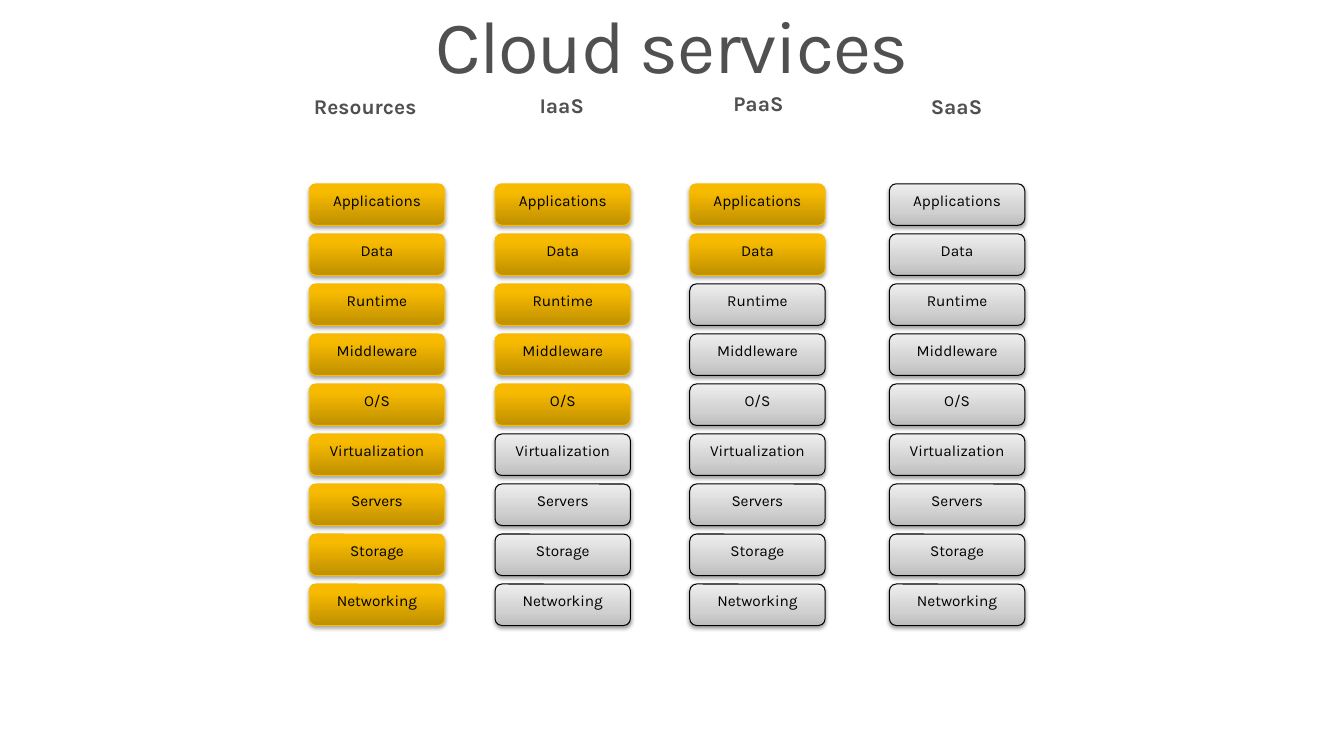
"""Build the Cloud services slide comparing who manages each layer of the stack."""
from dataclasses import dataclass

from lxml.etree import SubElement
from pptx import Presentation
from pptx.dml.color import RGBColor
from pptx.enum.shapes import MSO_SHAPE
from pptx.enum.text import MSO_ANCHOR, PP_ALIGN
from pptx.oxml import parse_xml
from pptx.oxml.ns import nsdecls, qn
from pptx.util import Inches, Pt

TITLE = "Cloud services"
LAYERS = ["Applications", "Data", "Runtime", "Middleware", "O/S",
          "Virtualization", "Servers", "Storage", "Networking"]


@dataclass(frozen=True)
class Column:
    heading: str
    left: float
    top: float
    width: float
    card_left: float
    gold_layers: int


COLUMNS = [
    Column("Resources", 2.84, 0.81, 1.71, 3.13, 9),
    Column("IaaS", 4.6, 0.78, 2.17, 5.01, 5),
    Column("PaaS", 6.84, 0.78, 1.67, 6.98, 2),
    Column("SaaS", 8.83, 0.81, 1.7, 9, 0),
]
COLUMN_HEIGHT = 5.52
CARD_WIDTH, CARD_HEIGHT = 1.37, 0.42
FIRST_CARD_TOP, LAST_CARD_TOP = 1.86, 5.91


@dataclass(frozen=True)
class CardStyle:
    stops: tuple
    line: str
    shadow_opacity: int
    shadow_distance: float


@dataclass(frozen=True)
class Theme:
    font: str = "Karla"
    heading_color: str = "505050"
    card_color: str = "000000"
    title_size: float = 54
    heading_size: float = 15.3
    card_size: float = 11.2
    line_width: float = 0.75
    shadow_blur: float = 3.1
    gold: CardStyle = CardStyle(
        ((0, "BE8F00"), (80, "F7BA00"), (100, "F8BB00")), "F9BC00", 35, 1.8)
    gray: CardStyle = CardStyle(
        ((0, "BDBDBD"), (35, "D1D1D1"), (100, "EEEEEE")), "000000", 38, 1.6)


THEME = Theme()


def write_text(shape, text, size, color, bold=False, side=0, edge=0.05):
    frame = shape.text_frame
    frame.text = text
    frame.word_wrap = True
    frame.vertical_anchor = MSO_ANCHOR.TOP
    frame.margin_left = frame.margin_right = Inches(side)
    frame.margin_top = frame.margin_bottom = Inches(edge)
    paragraph = frame.paragraphs[0]
    paragraph.alignment = PP_ALIGN.CENTER
    font = paragraph.runs[0].font
    font.name = THEME.font
    font.size = Pt(size)
    font.bold = bold
    font.color.rgb = RGBColor.from_string(color)
    return paragraph


def add_rounded(shapes, left, top, width, height):
    shape = shapes.add_shape(MSO_SHAPE.ROUNDED_RECTANGLE, Inches(left),
                             Inches(top), Inches(width), Inches(height))
    shape.shadow.inherit = False
    return shape


def style_card(card, style):
    card.line.color.rgb = RGBColor.from_string(style.line)
    card.line.width = Pt(THEME.line_width)
    stops = "".join(
        f'<a:gs pos="{position * 1000}"><a:srgbClr val="{color}"/></a:gs>'
        for position, color in style.stops)
    gradient = parse_xml(
        f'<a:gradFill {nsdecls("a")} rotWithShape="1"><a:gsLst>{stops}</a:gsLst>'
        '<a:lin ang="16200000" scaled="0"/></a:gradFill>')
    properties = card._element.spPr
    properties.find(qn("a:prstGeom")).addnext(gradient)
    shadow = SubElement(
        properties.find(qn("a:effectLst")), qn("a:outerShdw"),
        blurRad=str(Pt(THEME.shadow_blur)), dist=str(Pt(style.shadow_distance)),
        dir="5400000", rotWithShape="0")
    color = SubElement(shadow, qn("a:srgbClr"), val="000000")
    SubElement(color, qn("a:alpha"), val=str(style.shadow_opacity * 1000))


def add_column(slide, column):
    shapes = slide.shapes.add_group_shape().shapes
    heading = add_rounded(shapes, column.left, column.top, column.width, COLUMN_HEIGHT)
    heading.fill.background()
    heading.line.fill.background()
    write_text(heading, column.heading, THEME.heading_size, THEME.heading_color, bold=True)
    pitch = (LAST_CARD_TOP - FIRST_CARD_TOP) / (len(LAYERS) - 1)
    for row, layer in enumerate(LAYERS):
        card = add_rounded(shapes, column.card_left, FIRST_CARD_TOP + row * pitch,
                           CARD_WIDTH, CARD_HEIGHT)
        style_card(card, THEME.gold if row < column.gold_layers else THEME.gray)
        write_text(card, layer, THEME.card_size, THEME.card_color)


def main():
    presentation = Presentation()
    presentation.slide_width = Inches(13.6)
    presentation.slide_height = Inches(7.65)
    slide = presentation.slides.add_slide(presentation.slide_layouts[6])
    title = slide.shapes.add_textbox(Inches(1.7), 0, Inches(10.2), Inches(0.77))
    paragraph = write_text(title, TITLE, THEME.title_size, THEME.heading_color,
                           side=0.16, edge=0.1)
    paragraph.line_spacing = 0.9
    paragraph.runs[0].font._element.set("spc", "-100")
    for column in COLUMNS:
        add_column(slide, column)
    presentation.save("out.pptx")


if __name__ == "__main__":
    main()
